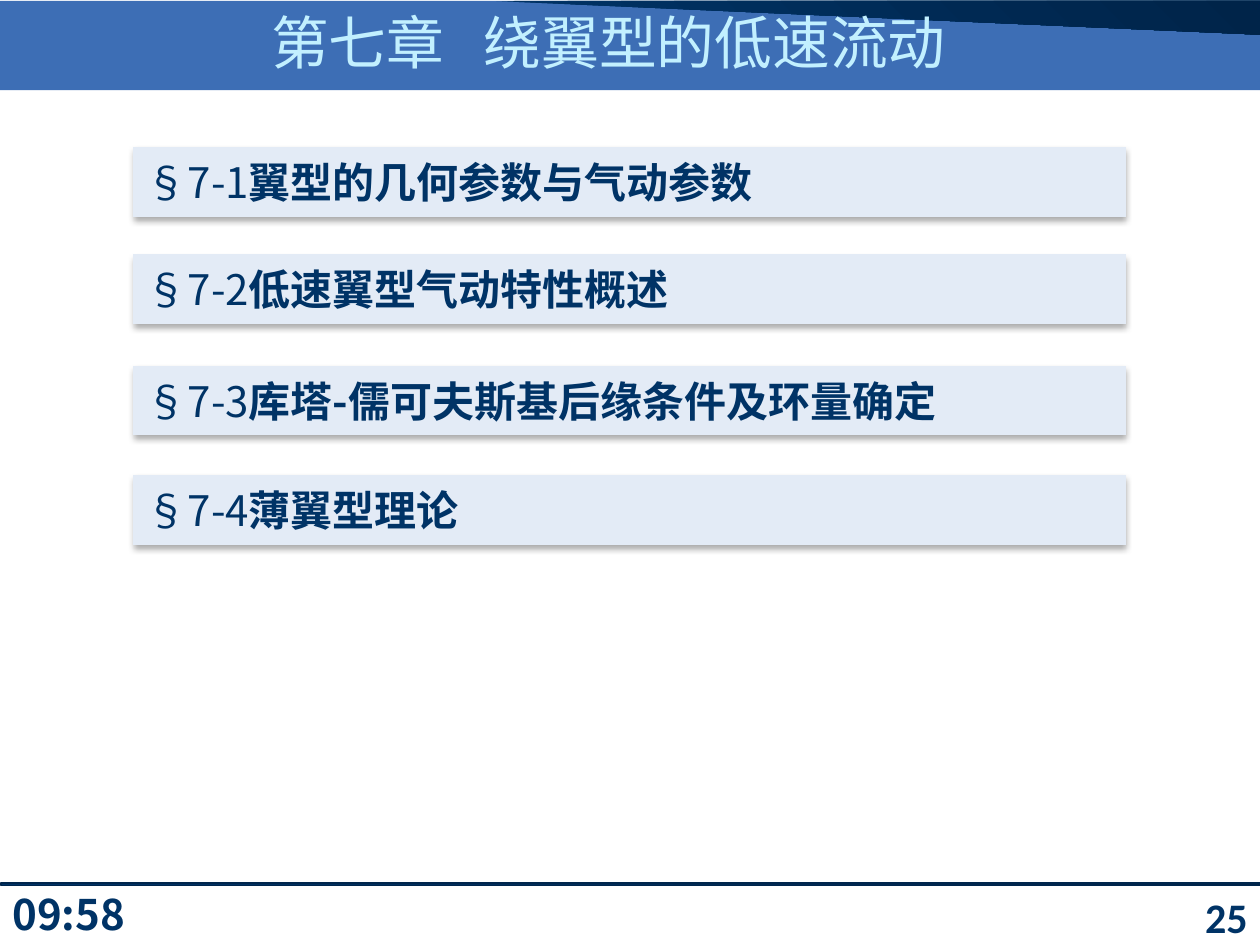
from lxml import etree
from pptx import Presentation
from pptx.dml.color import RGBColor
from pptx.enum.shapes import MSO_SHAPE
from pptx.enum.text import MSO_ANCHOR, PP_ALIGN
from pptx.oxml import parse_xml
from pptx.oxml.ns import qn
from pptx.util import Cm, Pt

NAVY, DARK = "003366", "002449"
SANS, SERIF = "Noto Sans CJK SC", "Times New Roman"
SHADOW = (
    '<a:effectLst xmlns:a="http://schemas.openxmlformats.org/drawingml/2006/main">'
    '<a:outerShdw blurRad="44450" dist="27940" dir="5400000" rotWithShape="0">'
    '<a:srgbClr val="000000"><a:alpha val="32000"/></a:srgbClr>'
    '</a:outerShdw></a:effectLst>'
)


def paint(color, value):
    color.rgb = RGBColor.from_string(value)


def style(run, size, face, color, bold=False, asian=SANS):
    font = run.font
    font.size, font.name, font.bold = Pt(size), face, bold
    paint(font.color, color)
    etree.SubElement(run._r.get_or_add_rPr(), qn("a:ea"), typeface=asian)


deck = Presentation()
deck.slide_width, deck.slide_height = Cm(25.4), Cm(19.05)
slide = deck.slides.add_slide(deck.slide_layouts[6])
shapes = slide.shapes

# Header band with its dark wedge
band = shapes.add_shape(MSO_SHAPE.RECTANGLE, Cm(0), Cm(0.02), Cm(25.4), Cm(1.8))
band.shadow.inherit = False
band.fill.solid()
paint(band.fill.fore_color, "3D6EB5")
band.line.fill.background()

pen = shapes.build_freeform(Cm(24.95), Cm(0.02), scale=1.0)
pen.add_line_segments([(Cm(9.98), Cm(0.02)), (Cm(25.4), Cm(0.7)), (Cm(25.4), Cm(0.02))])
wedge = pen.convert_to_shape()
wedge.line.fill.background()

# Footer rule
rule = shapes.add_shape(MSO_SHAPE.RECTANGLE, Cm(0.02), Cm(17.8), Cm(25.4), Cm(0.05))
paint(rule.line.color, "00264D")
rule.line.width = Pt(0.75)

for shape, angle in ((wedge, 45), (rule, 0)):
    shape.shadow.inherit = False
    shape.fill.gradient()
    shape.fill.gradient_angle = angle
    for stop, color in zip(shape.fill.gradient_stops, (NAVY, DARK)):
        paint(stop.color, color)

# Clock, page number and title
labels = [
    ("09:58", 0, 17.78, 3.4, 1.27, PP_ALIGN.LEFT, MSO_ANCHOR.TOP, SANS),
    ("25", 23.01, 17.78, 2.39, 1.4, PP_ALIGN.RIGHT, MSO_ANCHOR.MIDDLE, "Calibri"),
]
for text, left, top, width, height, align, anchor, face in labels:
    box = shapes.add_textbox(Cm(left), Cm(top), Cm(width), Cm(height))
    frame = box.text_frame
    frame.word_wrap = True
    frame.vertical_anchor = anchor
    frame.text = text
    frame.paragraphs[0].alignment = align
    style(frame.paragraphs[0].runs[0], 24, face, NAVY, True)

title = shapes.add_textbox(Cm(1.47), Cm(0.2), Cm(21.59), Cm(1.27))
frame = title.text_frame
frame.word_wrap = True
frame.vertical_anchor = MSO_ANCHOR.MIDDLE
line = frame.paragraphs[0]
line.alignment = PP_ALIGN.CENTER
for text in ("第七章", " ", "绕翼型的低速流动"):
    run = line.add_run()
    run.text = text
    style(run, 33, "Noto Sans CJK JP", "C2F0FF", asian="Noto Sans CJK JP")
# Widen the gap after the chapter number
line.runs[1]._r.rPr.set("spc", "1500")

# Section bars
parts = [
    (2.97, "§7-1", "翼型的几何参数与气动参数", SERIF),
    (5.13, "§7-2", "低速翼型气动特性概述", SERIF),
    (7.37, "§7-3", "库塔-儒可夫斯基后缘条件及环量确定", SANS),
    (9.58, "§7-4", "薄翼型理论", SANS),
]
for top, mark, name, face in parts:
    bar = shapes.add_shape(MSO_SHAPE.ACTION_BUTTON_CUSTOM, Cm(2.69), Cm(top), Cm(20), Cm(1.4))
    bar.fill.solid()
    paint(bar.fill.fore_color, "E3EBF6")
    bar.line.fill.background()
    bar._element.spPr.append(parse_xml(SHADOW))
    frame = bar.text_frame
    frame.word_wrap = True
    frame.vertical_anchor = MSO_ANCHOR.MIDDLE
    line = frame.paragraphs[0]
    line.alignment = PP_ALIGN.LEFT
    for text, font, bold in ((mark, SANS, False), (name, face, True)):
        run = line.add_run()
        run.text = text
        style(run, 24, font, NAVY, bold)

deck.save("out.pptx")
